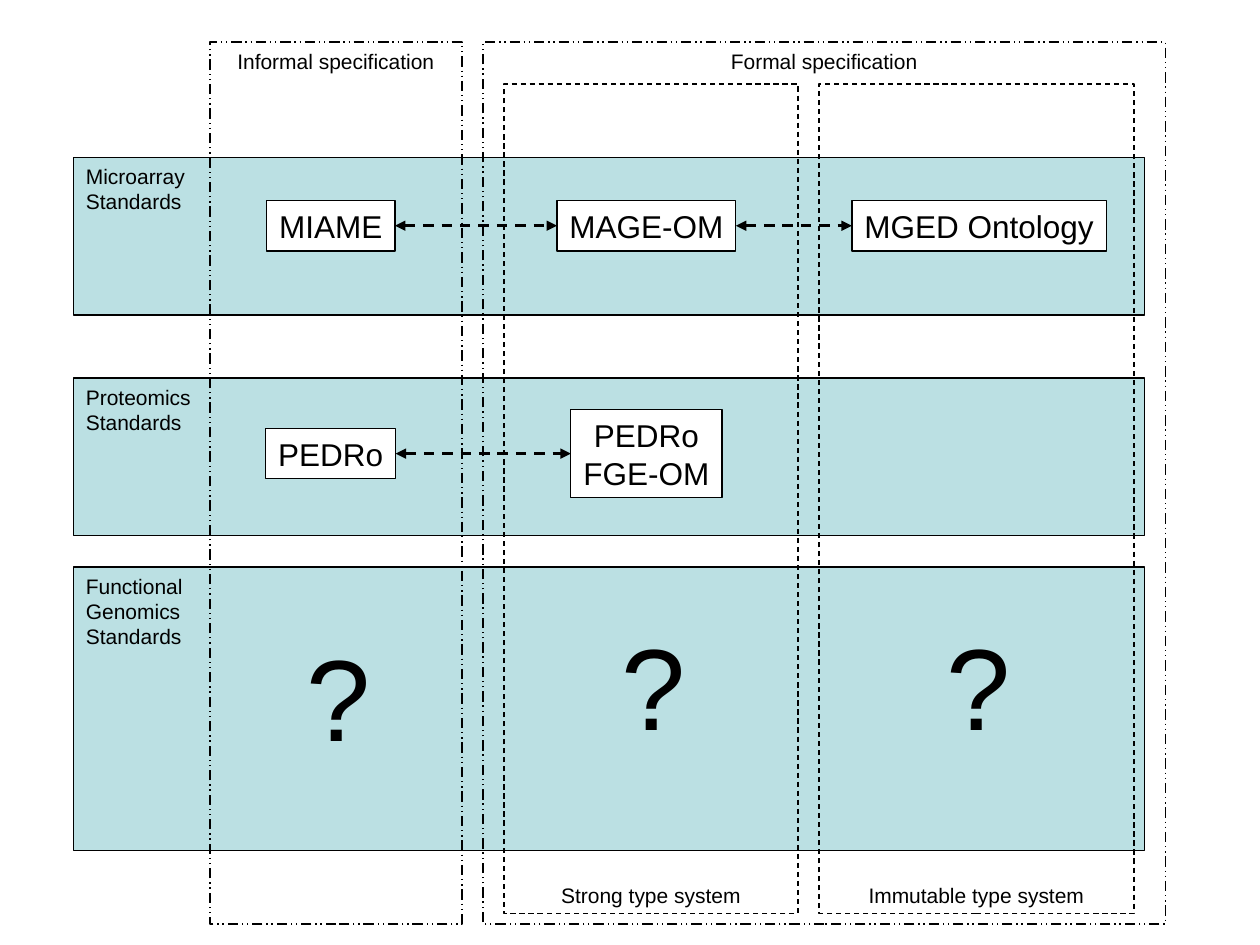
from lxml.etree import SubElement
from pptx import Presentation
from pptx.dml.color import RGBColor
from pptx.enum.dml import MSO_LINE
from pptx.enum.shapes import MSO_CONNECTOR, MSO_SHAPE
from pptx.enum.text import MSO_ANCHOR, PP_ALIGN
from pptx.oxml.ns import qn
from pptx.util import Pt

BLACK = RGBColor(0x00, 0x00, 0x00)
WHITE = RGBColor(0xFF, 0xFF, 0xFF)
PALE_TEAL = RGBColor(0xBB, 0xE0, 0xE3)

COLUMN_CENTRES = (189, 369.4, 559.5)
MICROARRAY_MIDDLE = 129
PROTEOMICS_MIDDLE = 259.2


def write_text(shape, text, size=12, align=PP_ALIGN.LEFT, anchor=MSO_ANCHOR.TOP, wrap=True):
    """Fill a shape with text, one paragraph per line."""
    frame = shape.text_frame
    frame.word_wrap = wrap
    frame.vertical_anchor = anchor
    frame.text = text
    for paragraph in frame.paragraphs:
        paragraph.alignment = align
        paragraph.font.size = Pt(size)
        paragraph.font.name = "Arial"
        paragraph.font.color.rgb = BLACK


def add_rectangle(slide, left, top, width, height, fill=None, dash=None):
    """Add a thinly outlined rectangle, unfilled unless a colour is given."""
    shape = slide.shapes.add_shape(
        MSO_SHAPE.RECTANGLE, Pt(left), Pt(top), Pt(width), Pt(height))
    shape.shadow.inherit = False
    if fill is None:
        shape.fill.background()
    else:
        shape.fill.solid()
        shape.fill.fore_color.rgb = fill
    shape.line.color.rgb = BLACK
    shape.line.width = Pt(0.75)
    if dash is not None:
        shape.line.dash_style = dash
    return shape


def add_band(slide, text, top, height):
    """Add a horizontal band for one family of standards."""
    band = add_rectangle(slide, 42, top, 612, height, fill=PALE_TEAL)
    write_text(band, text)


def add_frame(slide, text, left, top, width, height, dash, anchor):
    """Add a dashed column frame with a centred caption."""
    frame = add_rectangle(slide, left, top, width, height, dash=dash)
    write_text(frame, text, align=PP_ALIGN.CENTER, anchor=anchor, wrap=False)


def add_standard(slide, text, column, middle, width, height=28.8):
    """Add a white box for one standard, centred on its column and row."""
    left = COLUMN_CENTRES[column] - width / 2
    box = add_rectangle(slide, left, middle - height / 2, width, height, fill=WHITE)
    write_text(box, text, size=18, align=PP_ALIGN.CENTER,
               anchor=MSO_ANCHOR.MIDDLE, wrap=False)
    return box


def add_question_mark(slide, left, top):
    """Add a large question mark for a missing standard."""
    box = slide.shapes.add_textbox(Pt(left), Pt(top), Pt(37.5), Pt(86.5))
    write_text(box, "?", size=66)


def join_boxes(slide, first, second):
    """Join two neighbouring boxes with a dashed two-headed arrow."""
    connector = slide.shapes.add_connector(MSO_CONNECTOR.STRAIGHT, 0, 0, 0, 0)
    connector.begin_connect(first, 3)
    connector.end_connect(second, 1)
    connector.line.color.rgb = BLACK
    connector.line.width = Pt(1.5)
    connector.line.dash_style = MSO_LINE.DASH
    outline = connector.line._get_or_add_ln()
    for end in ("a:headEnd", "a:tailEnd"):
        SubElement(outline, qn(end), type="triangle")
    SubElement(connector._element.spPr, qn("a:effectLst"))


def main():
    """Build the slide of standards and save it."""
    presentation = Presentation()
    presentation.slide_width = Pt(720)
    presentation.slide_height = Pt(540)
    slide = presentation.slides.add_slide(presentation.slide_layouts[6])

    add_band(slide, "Functional\nGenomics\nStandards", 324, 162)
    for left, top in ((348, 348), (168, 354), (534, 348)):
        add_question_mark(slide, left, top)
    add_band(slide, "Microarray\nStandards", 90, 90)
    add_band(slide, "Proteomics\nStandards", 216, 90)

    miame = add_standard(slide, "MIAME", 0, MICROARRAY_MIDDLE, 73.5)
    mage = add_standard(slide, "MAGE-OM", 1, MICROARRAY_MIDDLE, 102.2)
    ontology = add_standard(slide, "MGED Ontology", 2, MICROARRAY_MIDDLE, 145.4)
    pedro = add_standard(slide, "PEDRo", 0, PROTEOMICS_MIDDLE, 74.2)
    pedro_model = add_standard(slide, "PEDRo\nFGE-OM", 1, PROTEOMICS_MIDDLE, 86.4, height=50.4)
    for first, second in ((miame, mage), (mage, ontology), (pedro, pedro_model)):
        join_boxes(slide, first, second)

    for text, left, width in (("Informal specification", 120, 144),
                              ("Formal specification", 276, 390)):
        add_frame(slide, text, left, 24, width, 504,
                  MSO_LINE.DASH_DOT_DOT, MSO_ANCHOR.TOP)
    for text, left, width in (("Immutable type system", 468, 180),
                              ("Strong type system", 288, 168)):
        add_frame(slide, text, left, 48, width, 474, MSO_LINE.DASH, MSO_ANCHOR.BOTTOM)

    presentation.save("out.pptx")


if __name__ == "__main__":
    main()
